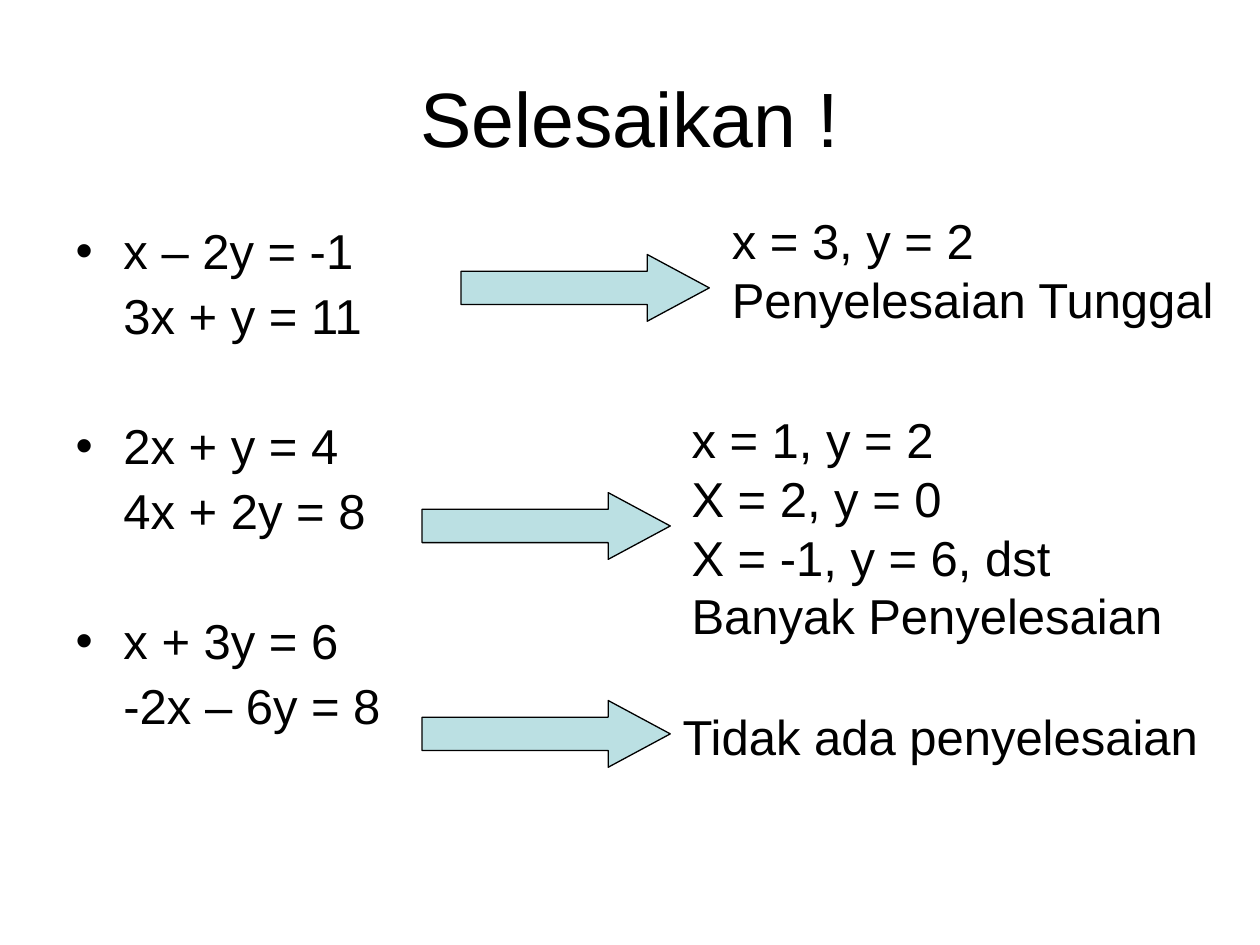
import lxml.etree
import pptx
import pptx.dml.color
import pptx.enum.shapes
import pptx.enum.text
import pptx.oxml.ns
import pptx.util

COLOURS = {"text": "000000", "background": "FFFFFF", "arrow": "BBE0E3"}
COLUMNS, ROWS = 100, 75


def colour(name):
    return pptx.dml.color.RGBColor.from_string(COLOURS[name])


class SlideBuilder:
    """Holds the style and the current slide; boxes are (column, row, columns, rows)."""

    font = "Arial"
    title_size = 44
    text_size = 28
    hanging = pptx.util.Inches(0.38)
    line_gap = 7
    group_gap = 44

    def __init__(self, presentation):
        self.column = presentation.slide_width / COLUMNS
        self.row = presentation.slide_height / ROWS
        self.slide = presentation.slides.add_slide(presentation.slide_layouts[1])
        fill = self.slide.background.fill
        fill.solid()
        fill.fore_color.rgb = colour("background")

    def place(self, box):
        left, top, width, height = box
        return (round(left * self.column), round(top * self.row),
                round(width * self.column), round(height * self.row))

    def move(self, shape, box):
        shape.left, shape.top, shape.width, shape.height = self.place(box)

    def format(self, paragraph, size):
        for run in paragraph.runs:
            run.font.name = self.font
            run.font.size = pptx.util.Pt(size)
            run.font.color.rgb = colour("text")

    def title(self, text, box):
        shape = self.slide.shapes.title
        self.move(shape, box)
        frame = shape.text_frame
        frame.text = text
        frame.vertical_anchor = pptx.enum.text.MSO_ANCHOR.MIDDLE
        paragraph = frame.paragraphs[0]
        paragraph.alignment = pptx.enum.text.PP_ALIGN.CENTER
        self.format(paragraph, self.title_size)

    def equation_list(self, systems, box):
        """Fill the body with systems, each bulleted on its first equation only."""
        shape = self.slide.placeholders[1]
        self.move(shape, box)
        frame = shape.text_frame
        frame.text = "\n".join(line for system in systems for line in system)
        frame.auto_size = pptx.enum.text.MSO_AUTO_SIZE.NONE
        positions = [index for system in systems for index in range(len(system))]
        for number, (paragraph, position) in enumerate(zip(frame.paragraphs, positions)):
            first = position == 0
            self.bullet(paragraph, first)
            gap = self.group_gap if first else self.line_gap
            paragraph.space_before = pptx.util.Pt(gap if number else 0)
            paragraph.line_spacing = 0.9
            self.format(paragraph, self.text_size)

    def bullet(self, paragraph, shown):
        properties = paragraph._p.get_or_add_pPr()
        properties.set("marL", str(self.hanging))
        properties.set("indent", str(-self.hanging if shown else 0))
        tag = "a:buChar" if shown else "a:buNone"
        element = lxml.etree.SubElement(properties, pptx.oxml.ns.qn(tag))
        if shown:
            element.set("char", "•")

    def arrow(self, left, top):
        shape = self.slide.shapes.add_shape(
            pptx.enum.shapes.MSO_SHAPE.RIGHT_ARROW, *self.place((left, top, 19.7, 5.3)))
        shape.adjustments[0] = 0.5
        shape.adjustments[1] = 0.93
        shape.shadow.inherit = False
        shape.fill.solid()
        shape.fill.fore_color.rgb = colour("arrow")
        shape.line.color.rgb = colour("text")
        shape.line.width = pptx.util.Pt(0.75)

    def answer(self, lines, box, wrap=True):
        frame = self.slide.shapes.add_textbox(*self.place(box)).text_frame
        frame.word_wrap = wrap
        frame.auto_size = pptx.enum.text.MSO_AUTO_SIZE.SHAPE_TO_FIT_TEXT
        frame.text = "\n".join(lines)
        for paragraph in frame.paragraphs:
            self.format(paragraph, self.text_size)


def main():
    presentation = pptx.Presentation()
    presentation.slide_width = pptx.util.Inches(10)
    presentation.slide_height = pptx.util.Inches(7.5)
    builder = SlideBuilder(presentation)

    builder.title("Selesaikan !", (5, 3, 90, 12.5))
    builder.equation_list([
        ("x – 2y = -1", "3x + y = 11"),
        ("2x + y = 4", "4x + 2y = 8"),
        ("x + 3y = 6", "-2x – 6y = 8"),
    ], (5, 17.5, 59.2, 49.5))

    for left, top in [(36.6, 20.2), (33.5, 39.1), (33.5, 55.6)]:
        builder.arrow(left, top)

    builder.answer(["x = 3, y = 2", "Penyelesaian Tunggal"], (57.1, 16.2, 42.9, 10.4))
    builder.answer(["x = 1, y = 2", "X = 2, y = 0", "X = -1, y = 6, dst",
                    "Banyak Penyelesaian"], (53.9, 32, 42.9, 19.7))
    builder.answer(["Tidak ada penyelesaian"], (53.2, 55.6, 43, 5.7), wrap=False)

    presentation.save("out.pptx")


if __name__ == "__main__":
    main()
